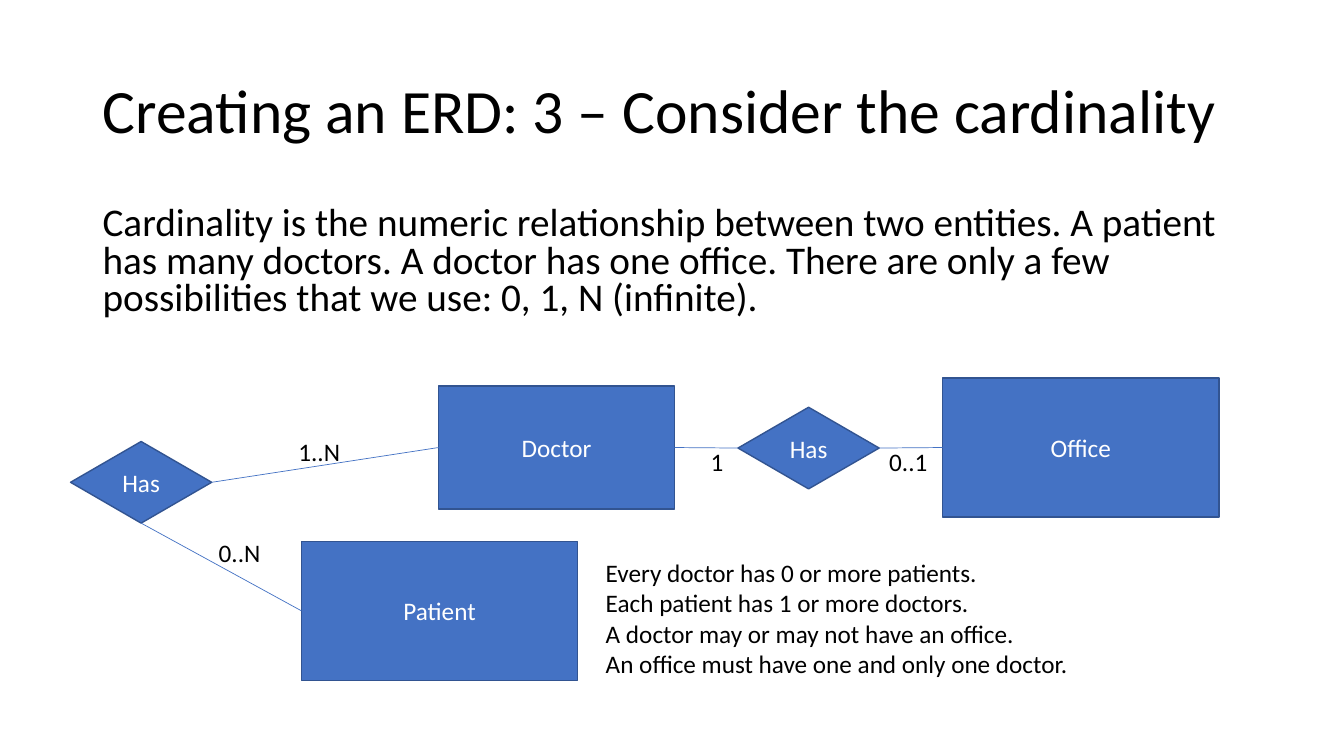
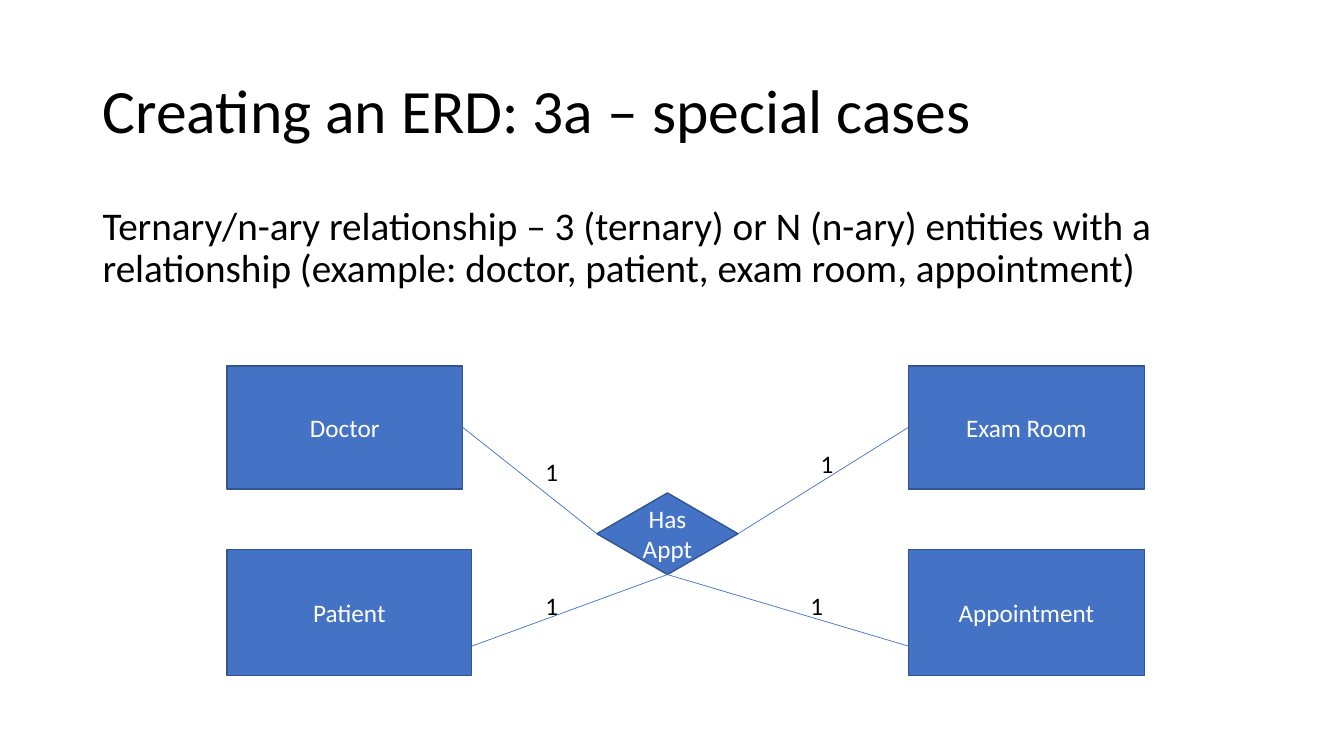
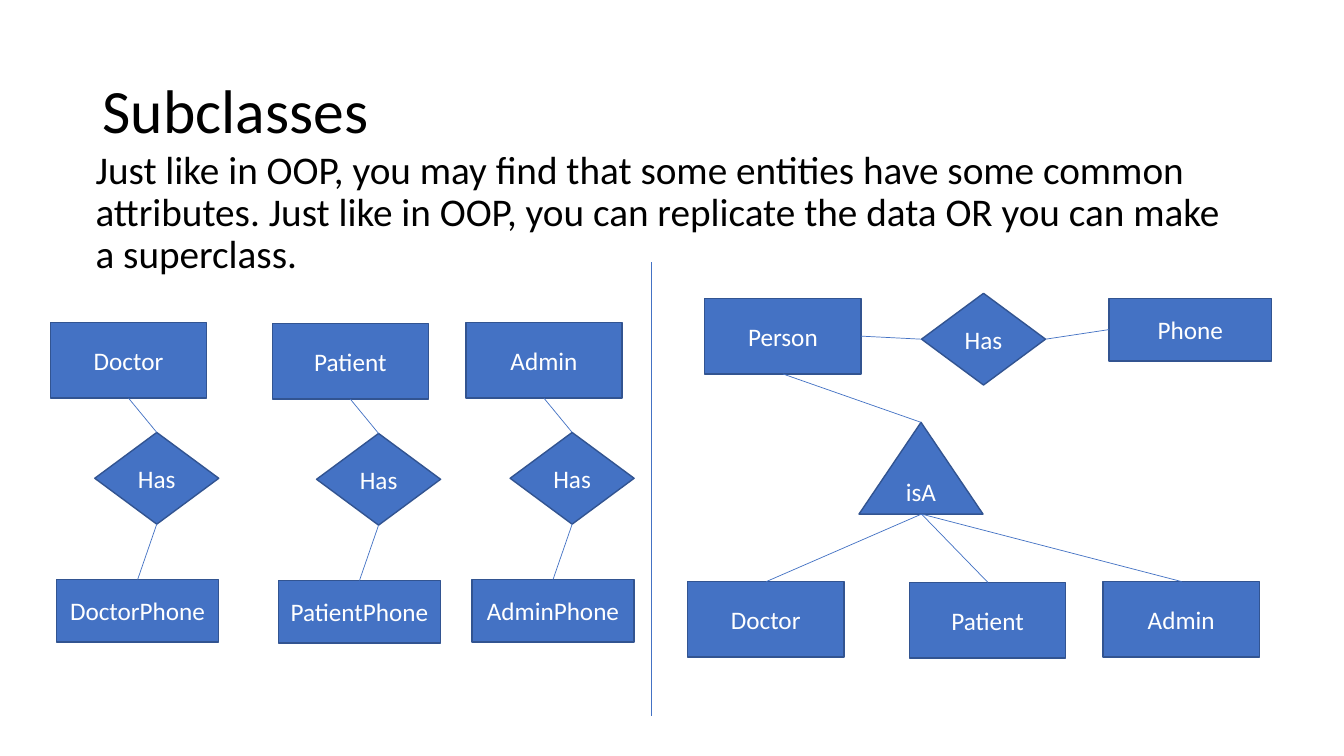
from dataclasses import dataclass

from lxml import etree
from pptx import Presentation
from pptx.dml.color import RGBColor
from pptx.enum.shapes import MSO_CONNECTOR, MSO_SHAPE
from pptx.enum.text import MSO_ANCHOR, MSO_AUTO_SIZE, PP_ALIGN
from pptx.oxml.ns import qn
from pptx.util import Inches, Pt

RECT = MSO_SHAPE.RECTANGLE
RHOMB = MSO_SHAPE.FLOWCHART_DECISION
PEAK = MSO_SHAPE.ISOSCELES_TRIANGLE
STRAIGHT = MSO_CONNECTOR.STRAIGHT
TOP, MIDDLE = MSO_ANCHOR.TOP, MSO_ANCHOR.MIDDLE
LEFT, CENTER = PP_ALIGN.LEFT, PP_ALIGN.CENTER
FIT = MSO_AUTO_SIZE.SHAPE_TO_FIT_TEXT
NORTH, WEST, SOUTH, EAST = range(4)


@dataclass(frozen=True)
class Theme:
    """Colours, font and type sizes of the deck."""
    font: str = "Calibri"
    ink: RGBColor = RGBColor(0, 0, 0)
    white: RGBColor = RGBColor(255, 255, 255)
    fill: RGBColor = RGBColor(0x44, 0x72, 0xC4)
    edge: RGBColor = RGBColor(0x32, 0x54, 0x91)
    title: int = 44
    body: int = 28
    small: int = 18


THEME = Theme()


def write(frame, text, size=THEME.small, color=THEME.ink, align=LEFT,
          anchor=TOP, wrap=True, space=1.0, before=0):
    """Fill a frame with one string, or a list of paragraphs."""
    frame.word_wrap = wrap
    frame.vertical_anchor = anchor
    lines = [text] if isinstance(text, str) else text
    for i, line in enumerate(lines):
        para = frame.add_paragraph() if i else frame.paragraphs[0]
        para.text = line
        para.alignment = align
        para.line_spacing = space
        para.space_before = Pt(before)
        for run in para.runs:
            run.font.name = THEME.font
            run.font.size = Pt(size)
            run.font.color.rgb = color


def frame(slide, x, y, w, h):
    """Add a text box and return its frame."""
    box = slide.shapes.add_textbox(Inches(x), Inches(y), Inches(w), Inches(h))
    return box.text_frame


def page(deck, title, body, x=0.92, y=2, h=1.23, space=0.9):
    """Add a slide with its title and body text."""
    slide = deck.slides.add_slide(deck.slide_layouts[6])
    write(frame(slide, 0.92, 0.4, 11.5, 1.45), title, size=THEME.title,
          anchor=MIDDLE, space=0.9)
    write(frame(slide, x, y, 11.5, h), body, size=THEME.body,
          space=space, before=10)
    return slide


def label(slide, text, x, y, w=0.33, h=0.4):
    """Add a small note that does not wrap."""
    note = frame(slide, x, y, w, h)
    write(note, text, wrap=False)
    note.auto_size = FIT


def node(slide, text, x, y, w, h, kind=RECT):
    """Add a filled shape with centred text."""
    shape = slide.shapes.add_shape(kind, Inches(x), Inches(y),
                                   Inches(w), Inches(h))
    shape.shadow.inherit = False
    shape.fill.solid()
    shape.fill.fore_color.rgb = THEME.fill
    shape.line.color.rgb = THEME.edge
    shape.line.width = Pt(1)
    write(shape.text_frame, text, color=THEME.white, align=CENTER,
          anchor=MIDDLE)
    return shape


def line(slide, start=(0, 0), end=(0, 0)):
    """Add a thin straight line between two points."""
    ends = [Inches(v) for v in (*start, *end)]
    link = slide.shapes.add_connector(STRAIGHT, *ends)
    link.line.color.rgb = THEME.fill
    link.line.width = Pt(0.5)
    etree.SubElement(link._element.spPr, qn("a:effectLst"))
    return link


def join(slide, first, out, last, into):
    """Tie two shapes together, side to side."""
    link = line(slide)
    link.begin_connect(first, out)
    link.end_connect(last, into)


def cardinal(deck):
    """Build the slide on cardinality."""
    slide = page(deck, "Creating an ERD: 3 – Consider the cardinality",
                 "Cardinality is the numeric relationship between two "
                 "entities. A patient has many doctors. A doctor has one "
                 "office. There are only a few possibilities that we use: "
                 "0, 1, N (infinite).", space=0.8)
    doctor = node(slide, "Doctor", 4.35, 3.83, 2.34, 1.22)
    office = node(slide, "Office", 9.35, 3.75, 2.74, 1.38)
    patient = node(slide, "Patient", 2.99, 5.37, 2.74, 1.38)
    owns = node(slide, "Has", 7.32, 4.04, 1.4, 0.81, RHOMB)
    treats = node(slide, "Has", 0.7, 4.38, 1.4, 0.81, RHOMB)
    join(slide, doctor, EAST, owns, WEST)
    join(slide, owns, EAST, office, WEST)
    join(slide, doctor, WEST, treats, EAST)
    join(slide, treats, SOUTH, patient, WEST)
    label(slide, "1", 6.95, 4.38)
    label(slide, "0..1", 8.72, 4.38, w=0.58)
    label(slide, "1..N", 2.86, 4.28, w=0.62)
    label(slide, "0..N", 2.07, 5.28, w=0.62)
    label(slide, ["Every doctor has 0 or more patients.",
                  "Each patient has 1 or more doctors.",
                  "A doctor may or may not have an office.\n"
                  "An office must have one and only one doctor."],
          5.91, 5.48, w=4.9, h=1.31)


def ternary(deck):
    """Build the slide on n-ary relationships."""
    slide = page(deck, "Creating an ERD: 3a – special cases",
                 "Ternary/n-ary relationship – 3 (ternary) or N (n-ary) "
                 "entities with a relationship (example: doctor, patient, "
                 "exam room, appointment)", h=4.76)
    doctor = node(slide, "Doctor", 2.25, 3.63, 2.34, 1.22)
    room = node(slide, "Exam Room", 9.01, 3.63, 2.34, 1.22)
    node(slide, "Patient", 2.25, 5.45, 2.43, 1.25)
    node(slide, "Appointment", 9.01, 5.45, 2.34, 1.25)
    visit = node(slide, "Has\nAppt", 5.92, 4.89, 1.4, 0.81, RHOMB)
    join(slide, doctor, EAST, visit, WEST)
    join(slide, visit, EAST, room, WEST)
    for x in (4.68, 9.01):
        line(slide, (6.62, 5.7), (x, 6.41))
    for x, y in ((5.31, 4.48), (8.04, 4.4), (5.31, 5.81), (7.94, 5.81)):
        label(slide, "1", x, y)


def subclass(deck):
    """Build the slide on subclasses."""
    slide = page(deck, "Subclasses",
                 "Just like in OOP, you may find that some entities have "
                 "some common attributes. Just like in OOP, you can "
                 "replicate the data OR you can make a superclass.",
                 x=0.85, y=1.44, h=1.38)
    line(slide, (6.46, 2.6), (6.46, 7.1))
    person = node(slide, "Person", 6.99, 2.96, 1.55, 0.75)
    phone = node(slide, "Phone", 11, 2.96, 1.61, 0.62)
    owns = node(slide, "Has", 9.14, 2.91, 1.23, 0.91, RHOMB)
    kind = node(slide, "isA", 8.52, 4.19, 1.23, 0.91, PEAK)
    join(slide, person, EAST, owns, WEST)
    join(slide, owns, EAST, phone, WEST)
    join(slide, person, SOUTH, kind, NORTH)
    roles = (("Doctor", 0.5, 3.2), ("Patient", 2.7, 3.21),
             ("Admin", 4.62, 3.2))
    for name, x, y in roles:
        role = node(slide, name, x, y, 1.55, 0.75)
        has = node(slide, "Has", x + 0.44, y + 1.09, 1.23, 0.91, RHOMB)
        call = node(slide, name + "Phone", x + 0.06, y + 2.55, 1.61, 0.62)
        join(slide, role, SOUTH, has, NORTH)
        join(slide, has, SOUTH, call, NORTH)
        node(slide, name, x + 6.32, y + 2.57, 1.55, 0.75)
        line(slide, (x + 7.1, y + 2.57), (9.14, 5.1))


def main():
    """Build and save the deck."""
    deck = Presentation()
    deck.slide_width = Inches(13.33)
    deck.slide_height = Inches(7.5)
    cardinal(deck)
    ternary(deck)
    subclass(deck)
    deck.save("out.pptx")


main()
